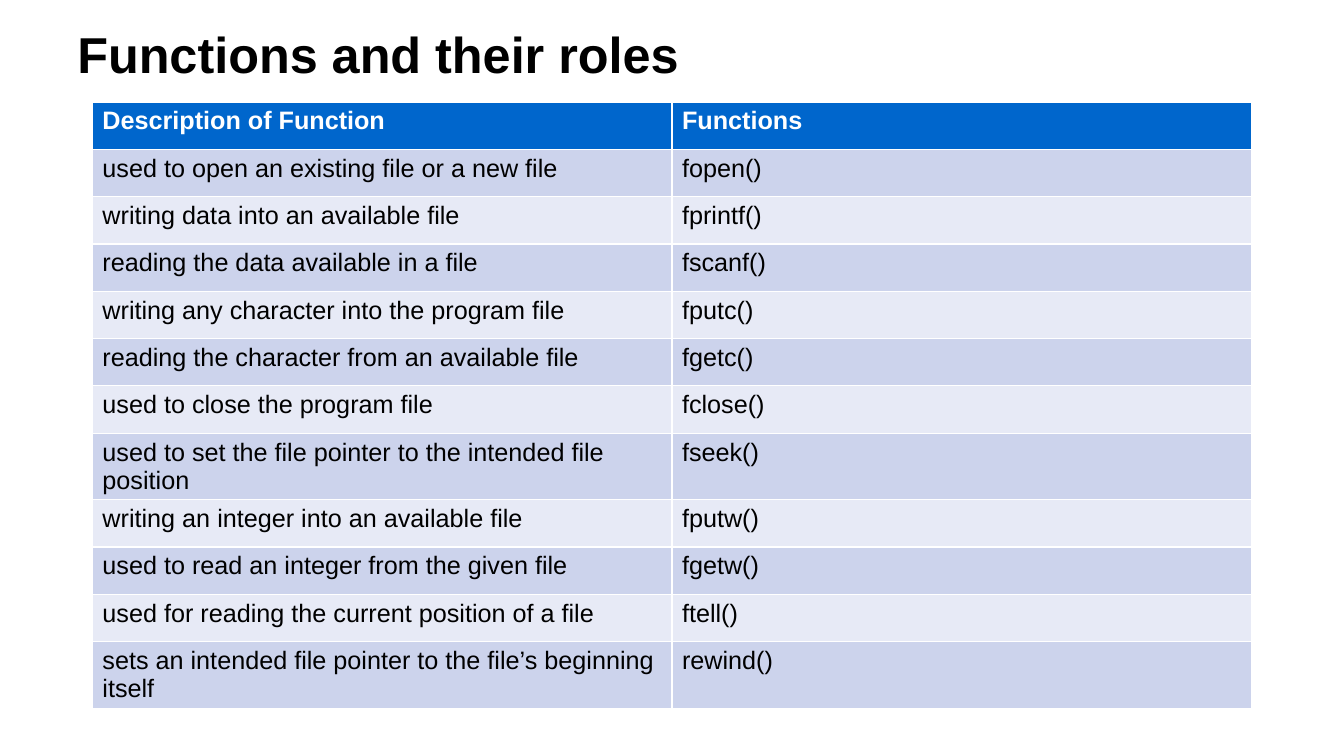
from pptx import Presentation
from pptx.dml.color import RGBColor
from pptx.enum.text import MSO_ANCHOR, MSO_AUTO_SIZE, PP_ALIGN
from pptx.util import Pt

TITLE = "Functions and their roles"
ROWS = [
    ("Description of Function", "Functions"),
    ("used to open an existing file or a new file", "fopen()"),
    ("writing data into an available file", "fprintf()"),
    ("reading the data available in a file", "fscanf()"),
    ("writing any character into the program file", "fputc()"),
    ("reading the character from an available file", "fgetc()"),
    ("used to close the program file", "fclose()"),
    ("used to set the file pointer to the intended file position", "fseek()"),
    ("writing an integer into an available file", "fputw()"),
    ("used to read an integer from the given file", "fgetw()"),
    ("used for reading the current position of a file", "ftell()"),
    ("sets an intended file pointer to the file’s beginning itself", "rewind()"),
]
HEAD = "0066CC"
BANDS = ("E7EAF6", "CCD3EC")
TITLE_BOX = {"left": 48, "top": 15, "width": 864, "height": 46}
LEFT, TOP, COL, ROW = 66, 72.9, 414, 33.8

TITLE_FONT = {"name": "Arial", "size": Pt(36), "bold": True}
HEAD_FONT = {"name": "Arial", "size": Pt(18), "bold": True}
BODY_FONT = {"name": "Arial", "size": Pt(18), "bold": False}


def color(part, code):
    part.rgb = RGBColor.from_string(code)


def write(frame, text, form, code):
    frame.text = text
    font = frame.paragraphs[0].runs[0].font
    for key, value in form.items():
        setattr(font, key, value)
    color(font.color, code)


def add_title(slide):
    title = slide.shapes.title
    for key, value in TITLE_BOX.items():
        setattr(title, key, Pt(value))
    frame = title.text_frame
    write(frame, TITLE, TITLE_FONT, "000000")
    frame.auto_size = MSO_AUTO_SIZE.NONE
    frame.vertical_anchor = MSO_ANCHOR.MIDDLE
    frame.paragraphs[0].alignment = PP_ALIGN.LEFT


def add_roles(slide):
    count, cols = len(ROWS), len(ROWS[0])
    table = slide.shapes.add_table(
        count, cols, Pt(LEFT), Pt(TOP), Pt(COL * cols), Pt(ROW * count)
    ).table
    for col in table.columns:
        col.width = Pt(COL)
    for r, texts in enumerate(ROWS):
        table.rows[r].height = Pt(ROW)
        for c, text in enumerate(texts):
            cell = table.cell(r, c)
            cell.fill.solid()
            color(cell.fill.fore_color, BANDS[r % 2] if r else HEAD)
            form, code = (BODY_FONT, "000000") if r else (HEAD_FONT, "FFFFFF")
            write(cell.text_frame, text, form, code)


def main():
    deck = Presentation()
    deck.slide_width, deck.slide_height = Pt(960), Pt(540)
    slide = deck.slides.add_slide(deck.slide_layouts[5])
    add_title(slide)
    add_roles(slide)
    deck.save("out.pptx")


if __name__ == "__main__":
    main()
